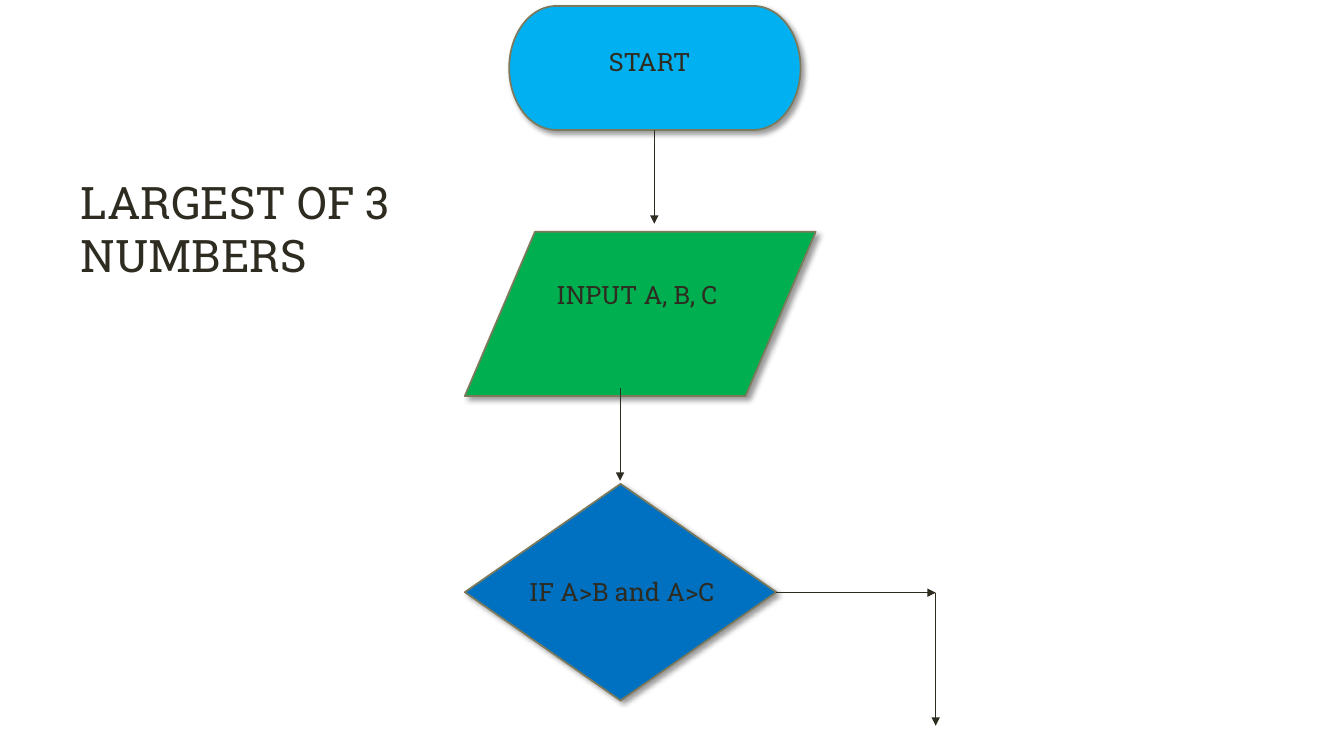
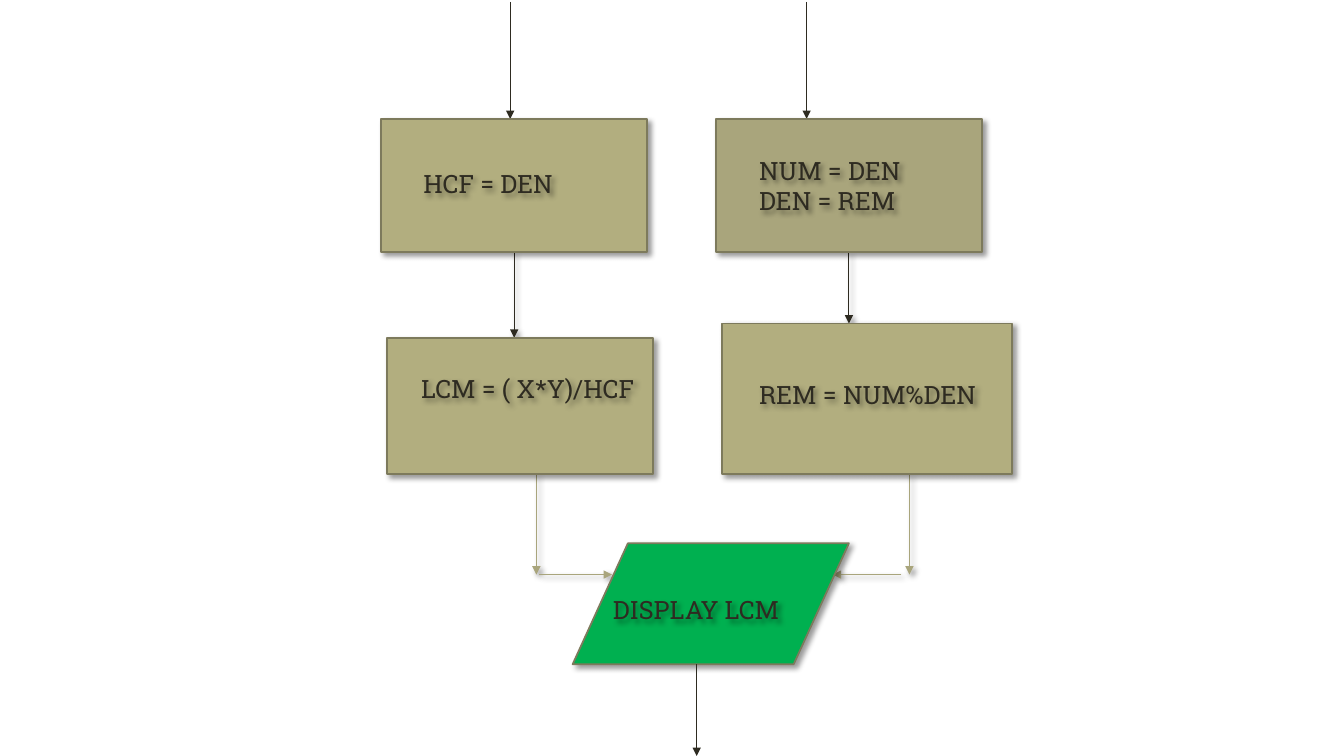
from lxml import etree
from pptx import Presentation
from pptx.dml.color import RGBColor
from pptx.enum.shapes import MSO_CONNECTOR, MSO_SHAPE
from pptx.enum.text import MSO_AUTO_SIZE
from pptx.oxml.ns import qn
from pptx.util import Emu, Pt

TERMINATOR = MSO_SHAPE.FLOWCHART_TERMINATOR
INPUT_OUTPUT = MSO_SHAPE.FLOWCHART_DATA
DECISION = MSO_SHAPE.FLOWCHART_DECISION
PROCESS = MSO_SHAPE.RECTANGLE
STRAIGHT = MSO_CONNECTOR.STRAIGHT
GROW = MSO_AUTO_SIZE.SHAPE_TO_FIT_TEXT

PX = 9144  # 100 px to the inch

THEME = {
    "ink": RGBColor.from_string("2E2B21"),
    "outline": RGBColor.from_string("7D7A5C"),
    "start": RGBColor.from_string("00B0F0"),
    "data": RGBColor.from_string("00B050"),
    "decision": RGBColor.from_string("0070C0"),
    "process": RGBColor.from_string("B2AE7F"),
    "khaki": RGBColor.from_string("A9A57C"),
    "label": {"name": "Roboto Slab", "size": Pt(18)},
    "title": {"name": "Roboto Slab", "size": Pt(32)},
    "outline_width": Pt(1.25),
    "arrow_width": Pt(0.75),
    "shadow": {"blurRad": Pt(4), "dist": Pt(3), "dir": 45 * 60000},
    "shadow_alpha": 40000,
}


def scale(*lengths):
    return [Emu(length * PX) for length in lengths]


def set_effects(shape, shadowed):
    """Give the shape the theme shadow, or an empty effect list."""
    effects = etree.SubElement(shape._element.spPr, qn("a:effectLst"))
    if shadowed:
        shadow = etree.SubElement(effects, qn("a:outerShdw"), algn="tl", rotWithShape="0")
        for name, value in THEME["shadow"].items():
            shadow.set(name, str(int(value)))
        colour = etree.SubElement(shadow, qn("a:srgbClr"), val="000000")
        etree.SubElement(colour, qn("a:alpha"), val=str(THEME["shadow_alpha"]))


# Parts of each slide, from back to front:
#   box: preset, fill, (left, top, width, height)
#   arrow: colour, (from x, from y, to x, to y), shadowed
#   text: style, (left, top, width, height), lines, shadowed
LARGEST_OF_THREE = [
    ("box", TERMINATOR, "start", (505, 6, 289, 123)),
    ("box", INPUT_OUTPUT, "data", (461, 230, 348, 163)),
    ("box", DECISION, "decision", (461, 480, 309, 215)),
    ("arrow", "ink", (649, 129, 649, 222), False),
    ("arrow", "ink", (615, 385, 615, 477), False),
    ("arrow", "ink", (770, 588, 928, 588), False),
    ("arrow", "ink", (928, 588, 928, 720), False),
    ("text", "label", (594, 41, 143, 40), ["START"], False),
    ("text", "label", (542, 272, 215, 40), ["INPUT A, B, C"], False),
    ("text", "label", (515, 567, 667, 40), ["IF A>B and A>C"], False),
    ("text", "title", (70, 168, 420, 118), ["LARGEST OF 3 NUMBERS"], False),
]

LCM_STEPS = [
    # Arrows into the boxes and between them
    ("arrow", "ink", (506, 2, 506, 118), False),
    ("arrow", "ink", (800, 2, 800, 118), False),
    ("arrow", "ink", (842, 250, 842, 321), True),
    ("arrow", "ink", (510, 250, 510, 335), True),
    ("arrow", "khaki", (532, 470, 532, 570), True),
    ("arrow", "khaki", (902, 470, 902, 570), True),
    ("arrow", "khaki", (535, 570, 607, 570), True),
    ("arrow", "khaki", (894, 570, 826, 570), True),
    # Boxes
    ("box", PROCESS, "khaki", (710, 118, 264, 132)),
    ("box", PROCESS, "process", (716, 321, 288, 149)),
    ("box", PROCESS, "process", (378, 118, 264, 132)),
    ("box", PROCESS, "process", (384, 335, 264, 135)),
    ("box", INPUT_OUTPUT, "data", (568, 539, 274, 120)),
    ("arrow", "ink", (691, 659, 691, 750), False),
    # Labels
    ("text", "label", (743, 149, 186, 71), ["NUM = DEN", "DEN = REM"], True),
    ("text", "label", (743, 371, 249, 40), ["REM = NUM%DEN"], True),
    ("text", "label", (410, 162, 178, 40), ["HCF = DEN"], True),
    ("text", "label", (408, 365, 283, 40), ["LCM = ( X*Y)/HCF"], True),
    ("text", "label", (598, 585, 213, 40), ["DISPLAY LCM"], True),
]

presentation = Presentation()
presentation.slide_width, presentation.slide_height = scale(1333, 750)
blank_layout = presentation.slide_layouts[6]

for parts in (LARGEST_OF_THREE, LCM_STEPS):
    slide = presentation.slides.add_slide(blank_layout)
    for kind, *details in parts:
        if kind == "box":
            preset, fill, place = details
            shape = slide.shapes.add_shape(preset, *scale(*place))
            shape.fill.solid()
            shape.fill.fore_color.rgb = THEME[fill]
            shape.line.color.rgb = THEME["outline"]
            shape.line.width = THEME["outline_width"]
            shadowed = True
        elif kind == "arrow":
            colour, ends, shadowed = details
            shape = slide.shapes.add_connector(STRAIGHT, *scale(*ends))
            shape.line.color.rgb = THEME[colour]
            shape.line.width = THEME["arrow_width"]
            etree.SubElement(shape.line._get_or_add_ln(), qn("a:tailEnd"), type="triangle")
        else:
            style, place, lines, shadowed = details
            shape = slide.shapes.add_textbox(*scale(*place))
            frame = shape.text_frame
            frame.word_wrap = True
            frame.auto_size = GROW
            frame.text = "\n".join(lines)
            for paragraph in frame.paragraphs:
                font = paragraph.runs[0].font
                font.color.rgb = THEME["ink"]
                for name, value in THEME[style].items():
                    setattr(font, name, value)
        set_effects(shape, shadowed)

presentation.save("out.pptx")
